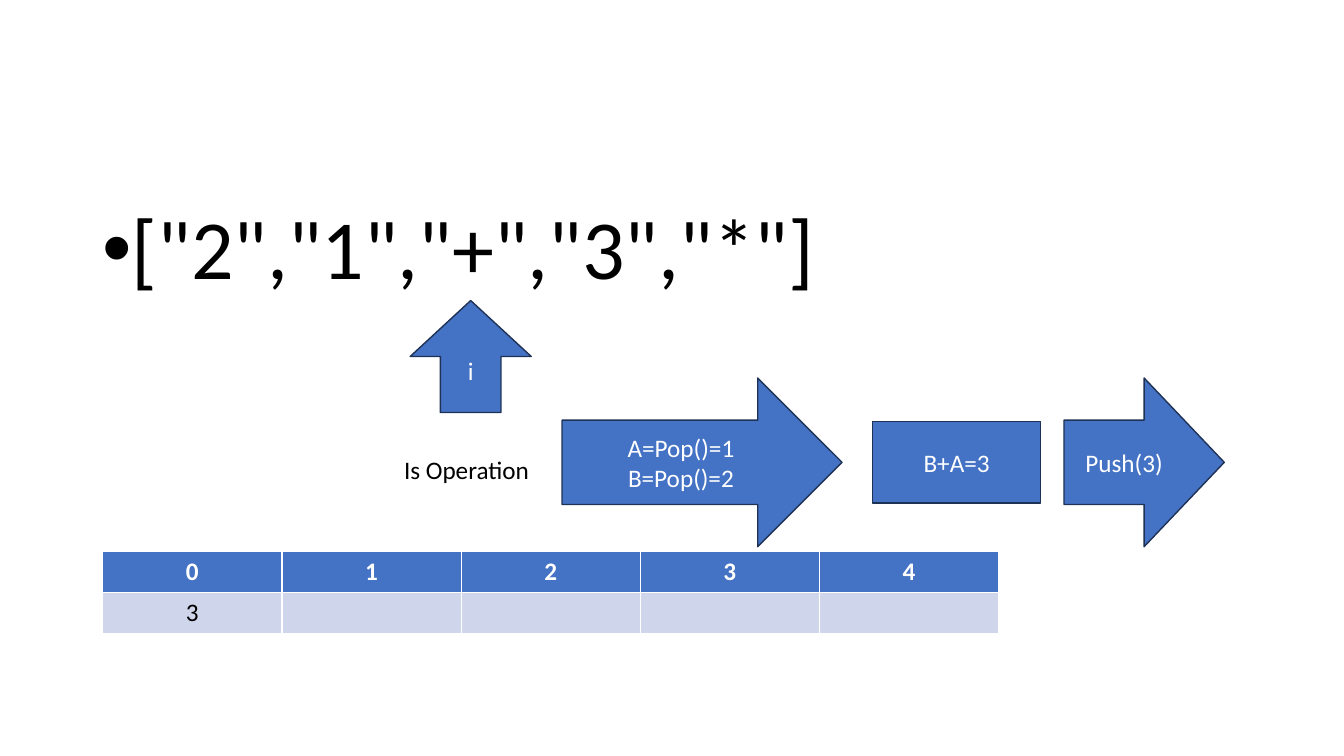
from pptx import Presentation
from pptx.dml.color import RGBColor
from pptx.enum.shapes import MSO_SHAPE as Kind
from pptx.enum.text import MSO_ANCHOR as Anchor, MSO_AUTO_SIZE as Fit, PP_ALIGN as Align
from pptx.util import Pt

BLUE = RGBColor(0x44, 0x72, 0xC4)
NAVY = RGBColor(0x1E, 0x32, 0x56)
PALE = RGBColor(0xCF, 0xD5, 0xEA)
WHITE = RGBColor(0xFF, 0xFF, 0xFF)
BLACK = RGBColor(0, 0, 0)


class Deck:
    face = "Calibri"
    size = 18

    def __init__(self, wide, high):
        self.file = Presentation()
        self.file.slide_width, self.file.slide_height = Pt(wide), Pt(high)
        self.slide = self.file.slides.add_slide(self.file.slide_layouts[1])
        title = self.slide.shapes.title
        title.element.getparent().remove(title.element)

    def words(self, frame, text, color, align=Align.CENTER, size=None, bold=False):
        frame.text = text
        for para in frame.paragraphs:
            para.alignment = align
            para.space_before = Pt(0)
            for run in para.runs:
                font = run.font
                font.name, font.size, font.bold = self.face, Pt(size or self.size), bold
                font.color.rgb = color

    def body(self, box, text, size):
        hold = self.slide.placeholders[1]
        hold.left, hold.top, hold.width, hold.height = map(Pt, box)
        frame = hold.text_frame
        frame.auto_size = Fit.NONE
        self.words(frame, text, BLACK, Align.LEFT, size)
        para = frame.paragraphs[0]
        para.line_spacing = 0.9
        props = para._p.get_or_add_pPr()
        props.set("marL", str(Pt(18)))
        props.set("indent", str(-Pt(18)))

    def block(self, kind, box, text):
        shape = self.slide.shapes.add_shape(kind, *map(Pt, box))
        shape.shadow.inherit = False
        shape.fill.solid()
        shape.fill.fore_color.rgb = BLUE
        shape.line.color.rgb = NAVY
        shape.line.width = Pt(1)
        shape.text_frame.vertical_anchor = Anchor.MIDDLE
        self.words(shape.text_frame, text, WHITE)

    def label(self, box, text):
        frame = self.slide.shapes.add_textbox(*map(Pt, box)).text_frame
        frame.word_wrap = True
        frame.auto_size = Fit.SHAPE_TO_FIT_TEXT
        self.words(frame, text, BLACK, Align.LEFT)

    def table(self, box, rows):
        grid = self.slide.shapes.add_table(len(rows), len(rows[0]), *map(Pt, box)).table
        for r, row in enumerate(rows):
            head = r == 0
            for c, text in enumerate(row):
                cell = grid.cell(r, c)
                cell.fill.solid()
                cell.fill.fore_color.rgb = BLUE if head else PALE
                self.words(cell.text_frame, text, WHITE if head else BLACK, bold=head)


def main():
    deck = Deck(960, 540)
    deck.body((66, 144, 586, 98), '["2","1","+","3","*"]', 60)
    deck.block(Kind.UP_ARROW, (293, 214.7, 86.5, 80), "i")
    deck.table((73.4, 394, 640, 58.4), [["0", "1", "2", "3", "4"], ["3", "", "", "", ""]])
    deck.label((281.5, 321.3, 120, 29), "Is Operation")
    deck.block(Kind.RIGHT_ARROW, (401.5, 270, 200, 120.5), "A=Pop()=1\nB=Pop()=2")
    deck.block(Kind.RECTANGLE, (623.3, 301, 120, 58.3), "B+A=3")
    deck.block(Kind.RIGHT_ARROW, (760, 270, 114.5, 120.5), "Push(3)")
    deck.file.save("out.pptx")


if __name__ == "__main__":
    main()
